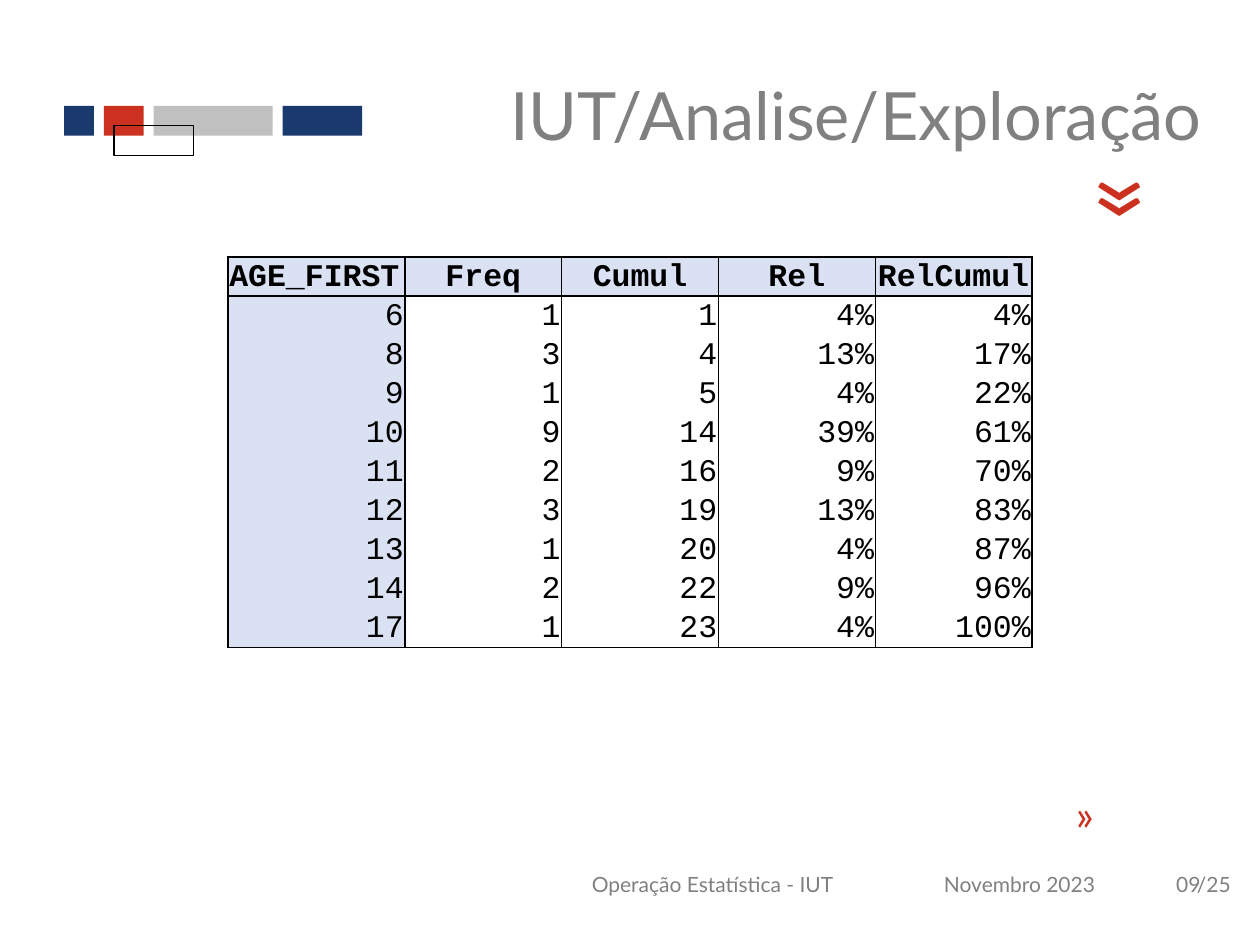
from lxml import etree
from pptx import Presentation
from pptx.dml.color import RGBColor
from pptx.enum.shapes import MSO_SHAPE
from pptx.enum.text import MSO_ANCHOR, MSO_AUTO_SIZE, PP_ALIGN
from pptx.oxml.ns import qn
from pptx.util import Inches, Pt

RECT = MSO_SHAPE.RECTANGLE
LEFT, MID, RIGHT = PP_ALIGN.LEFT, PP_ALIGN.CENTER, PP_ALIGN.RIGHT
TOP, CENTER, BOTTOM = MSO_ANCHOR.TOP, MSO_ANCHOR.MIDDLE, MSO_ANCHOR.BOTTOM
FIXED = MSO_AUTO_SIZE.NONE
WIDE, HIGH = Inches(10), Inches(7.5)
NAVY, RED, SILVER, GRAY = "1A3A6E", "CC301F", "C0C0C0", "808080"
BLACK, PALE = "000000", "D9E1F2"

HEADS = ["AGE_FIRST", "Freq", "Cumul", "Rel", "RelCumul"]
ROWS = [
    ["6", "1", "1", "4%", "4%"],
    ["8", "3", "4", "13%", "17%"],
    ["9", "1", "5", "4%", "22%"],
    ["10", "9", "14", "39%", "61%"],
    ["11", "2", "16", "9%", "70%"],
    ["12", "3", "19", "13%", "83%"],
    ["13", "1", "20", "4%", "87%"],
    ["14", "2", "22", "9%", "96%"],
    ["17", "1", "23", "4%", "100%"],
]


def color(code):
    return RGBColor.from_string(code)


def share(x, y, w, h):
    """Turn percentages of the slide into a box of lengths."""
    return (int(WIDE * x / 100), int(HIGH * y / 100),
            int(WIDE * w / 100), int(HIGH * h / 100))


def write(frame, text, size, tint, align=LEFT, face="Lato", bold=False):
    para = frame.paragraphs[0]
    para.alignment = align
    para.space_before = Pt(0)
    run = para.add_run()
    run.text = text
    font = run.font
    font.name, font.size, font.bold = face, Pt(size), bold
    font.color.rgb = color(tint)


def label(slide, box, text, size, tint, align=LEFT, anchor=TOP, turn=0):
    shape = slide.shapes.add_textbox(*box)
    shape.rotation = turn
    frame = shape.text_frame
    frame.word_wrap = True
    frame.auto_size = FIXED
    frame.vertical_anchor = anchor
    write(frame, text, size, tint, align)
    return frame


def add_bars(slide, box):
    """Lay bars out on a square grid 30 units wide."""
    left, top, width, _ = box
    unit = width / 30

    def bar(col, row, span):
        shape = slide.shapes.add_shape(
            RECT, int(left + col * unit), int(top + row * unit),
            int(span * unit), int(3 * unit))
        shape.shadow.inherit = False
        return shape

    col = 0
    for span, tint in [(3, NAVY), (4, RED), (12, SILVER), (8, NAVY)]:
        shape = bar(col, 0, span)
        shape.fill.solid()
        shape.fill.fore_color.rgb = color(tint)
        shape.line.fill.background()
        col += span + 1
    frame = bar(5, 2, 8)
    frame.fill.background()
    frame.line.color.rgb = color(BLACK)
    frame.line.width = Pt(0.75)


def add_title(slide, box):
    title = slide.shapes.title
    title.left, title.top, title.width, title.height = box
    frame = title.text_frame
    frame.auto_size = FIXED
    frame.vertical_anchor = CENTER
    write(frame, "IUT/Analise/Exploração", 38, GRAY, RIGHT)


def add_foot(slide, box):
    left, top, width, high = box

    def part(start, span):
        return int(left + width * start), top, int(width * span), high

    label(slide, part(0, 0.52), "Operação Estatística - IUT", 12, GRAY,
          MID, CENTER)
    label(slide, part(0.52, 0.31), "Novembro 2023", 12, GRAY, MID, CENTER)
    label(slide, part(0.87, 0.07), "09", 12, GRAY, LEFT, CENTER)
    total = label(slide, part(0.85, 0.15), "/25", 12, GRAY, LEFT, CENTER)
    total.margin_left = Inches(0.38)


def edge(cell, side, width):
    """Draw one side of a cell, or clear it when width is 0."""
    line = etree.SubElement(cell._tc.get_or_add_tcPr(), qn("a:" + side),
                            w=str(int(Pt(width))))
    if width:
        fill = etree.SubElement(line, qn("a:solidFill"))
        etree.SubElement(fill, qn("a:srgbClr"), val=BLACK)
    else:
        etree.SubElement(line, qn("a:noFill"))


def add_grid(slide, box):
    data = [HEADS] + ROWS
    last, end = len(data) - 1, len(HEADS) - 1
    table = slide.shapes.add_table(len(data), len(HEADS), *box).table
    table.first_row = table.horz_banding = False
    first = int(box[2] * 0.22)
    for c, col in enumerate(table.columns):
        col.width = first if c == 0 else (box[2] - first) // end
    for r, texts in enumerate(data):
        table.rows[r].height = box[3] // len(data)
        for c, text in enumerate(texts):
            cell = table.cell(r, c)
            cell.margin_left = cell.margin_right = Inches(0.01)
            cell.margin_top, cell.margin_bottom = Inches(0.01), 0
            cell.vertical_anchor = BOTTOM
            edge(cell, "lnL", 1 if c < 2 else 0.5)
            edge(cell, "lnR", 1 if c in (0, end) else 0.5)
            edge(cell, "lnT", 1 if r < 2 else 0)
            edge(cell, "lnB", 1 if r in (0, last) else 0)
            if r == 0 or c == 0:
                cell.fill.solid()
                cell.fill.fore_color.rgb = color(PALE)
            else:
                cell.fill.background()
            align = RIGHT if r else MID if c else LEFT
            write(cell.text_frame, text, 18, BLACK, align, "Courier New",
                  r == 0)


def main():
    deck = Presentation()
    deck.slide_width, deck.slide_height = WIDE, HIGH
    slide = deck.slides.add_slide(deck.slide_layouts[5])
    add_bars(slide, share(5.1, 11.2, 23.64, 4.2))
    add_foot(slide, share(41.3, 89.87, 58.7, 7.33))
    label(slide, share(82.7, 84, 5.1, 6.67), "«", 24, RED, turn=180)
    label(slide, share(85, 13.73, 5.5, 14.67), "«", 60, RED, turn=270)
    add_title(slide, share(30.3, 5.87, 66.1, 12.4))
    add_grid(slide, share(18.1, 27.2, 63.8, 41.33))
    deck.save("out.pptx")


if __name__ == "__main__":
    main()
